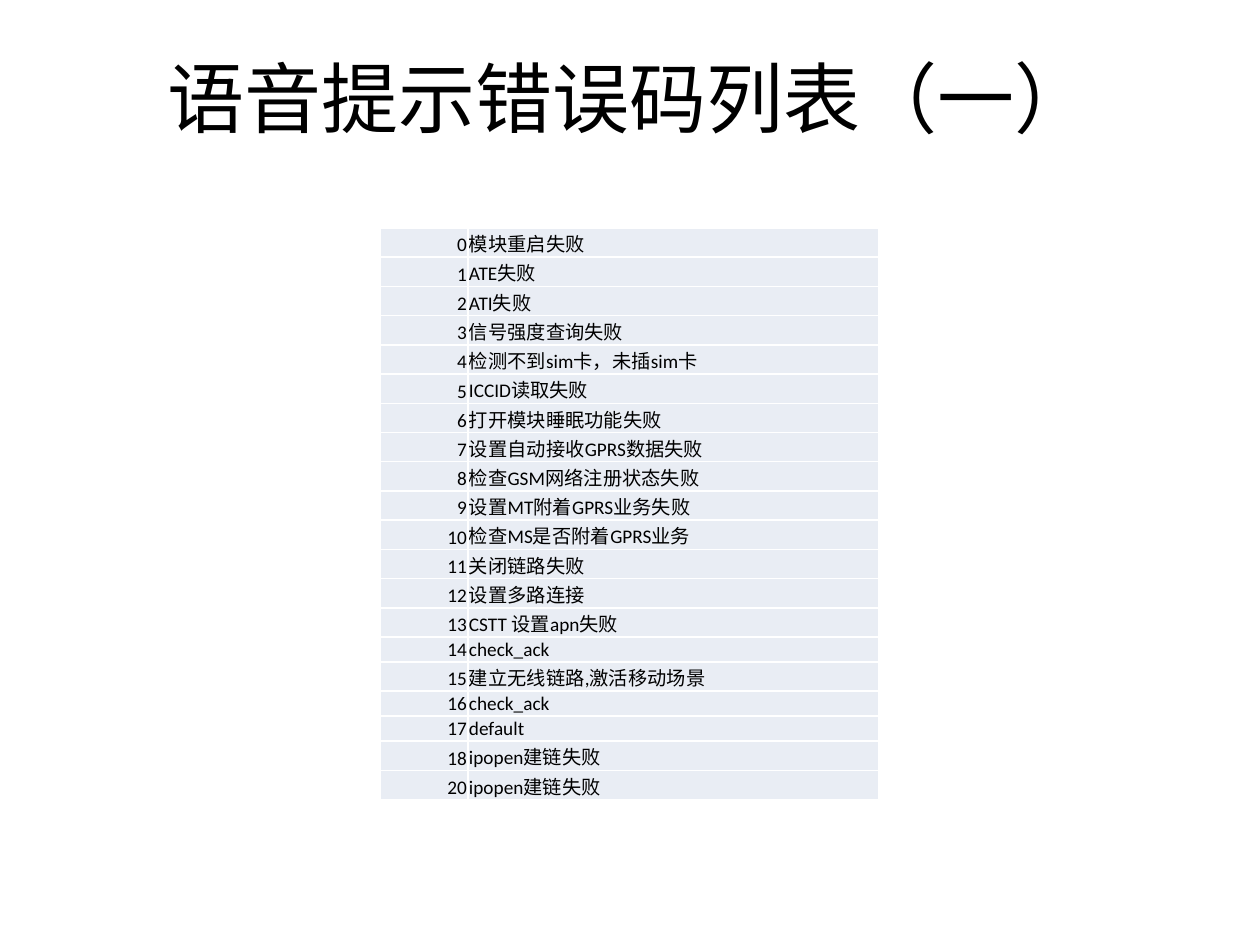
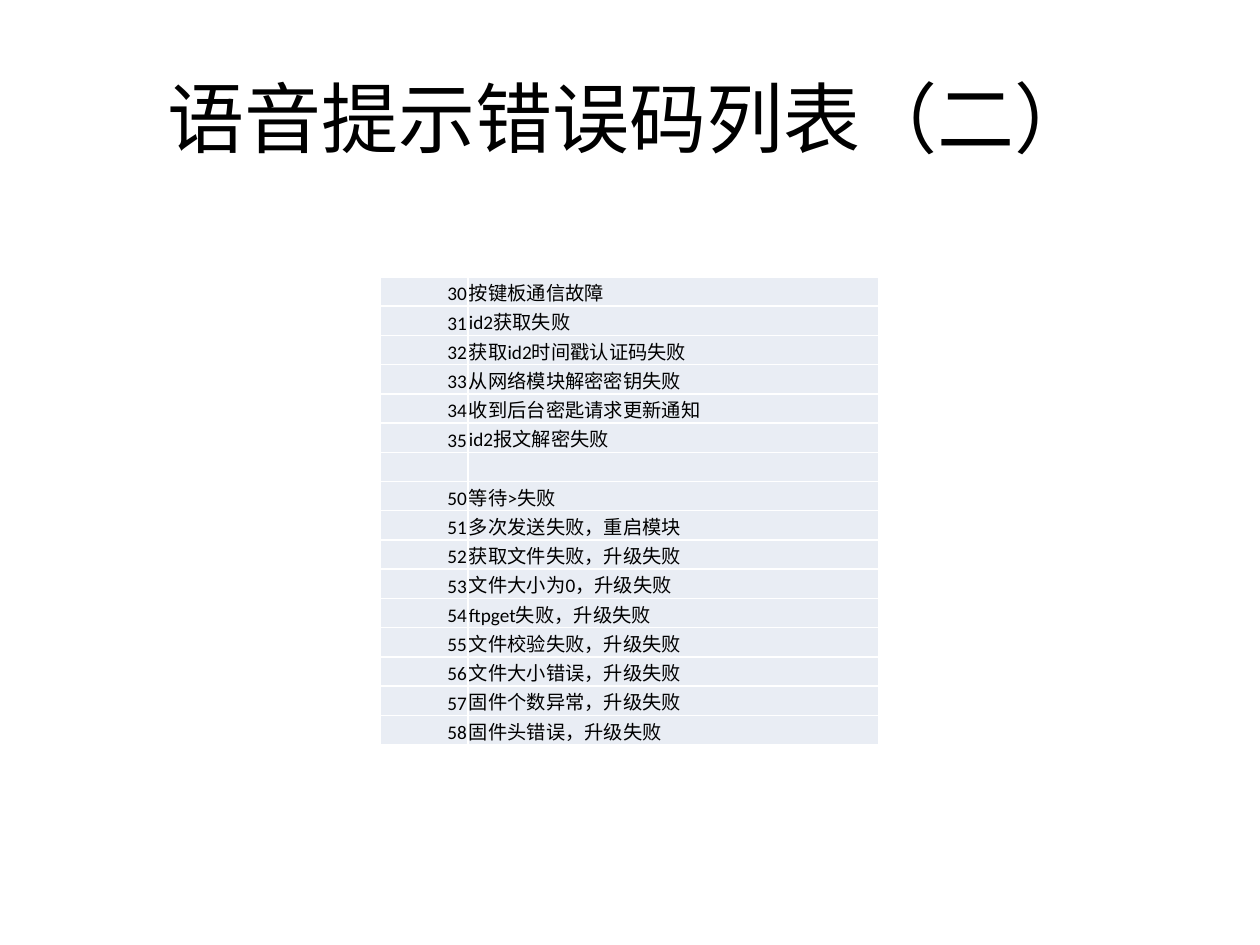
from lxml import etree
from pptx import Presentation
from pptx import util as u
from pptx.dml import color
from pptx.enum import text
from pptx.oxml import ns

SCALE = 914400 // 126
COLORS = {"ink": "000000", "cell": "E9EDF4", "border": "FFFFFF"}
FONT = "Calibri"
TITLE_SIZE, CELL_SIZE = 44, 11
ROW_HEIGHT, LATIN_ROW_HEIGHT = 29.25, 25
COLUMN_WIDTHS = (88, 411)
CELL_FORMAT = {
    "margin_left": u.Emu(SCALE),
    "margin_right": u.Emu(SCALE),
    "margin_top": u.Emu(SCALE),
    "margin_bottom": 0,
    "vertical_anchor": text.MSO_ANCHOR.BOTTOM,
}

MODULE_ERRORS = [
    ("0", "模块重启失败"),
    ("1", "ATE失败"),
    ("2", "ATI失败"),
    ("3", "信号强度查询失败"),
    ("4", "检测不到sim卡，未插sim卡"),
    ("5", "ICCID读取失败"),
    ("6", "打开模块睡眠功能失败"),
    ("7", "设置自动接收GPRS数据失败"),
    ("8", "检查GSM网络注册状态失败"),
    ("9", "设置MT附着GPRS业务失败"),
    ("10", "检查MS是否附着GPRS业务"),
    ("11", "关闭链路失败"),
    ("12", "设置多路连接"),
    ("13", "CSTT 设置apn失败"),
    ("14", "check_ack"),
    ("15", "建立无线链路,激活移动场景"),
    ("16", "check_ack"),
    ("17", "default"),
    ("18", "ipopen建链失败"),
    ("20", "ipopen建链失败"),
]
UPGRADE_ERRORS = [
    ("30", "按键板通信故障"),
    ("31", "id2获取失败"),
    ("32", "获取id2时间戳认证码失败"),
    ("33", "从网络模块解密密钥失败"),
    ("34", "收到后台密匙请求更新通知"),
    ("35", "id2报文解密失败"),
    ("", ""),
    ("50", "等待>失败"),
    ("51", "多次发送失败，重启模块"),
    ("52", "获取文件失败，升级失败"),
    ("53", "文件大小为0，升级失败"),
    ("54", "ftpget失败，升级失败"),
    ("55", "文件校验失败，升级失败"),
    ("56", "文件大小错误，升级失败"),
    ("57", "固件个数异常，升级失败"),
    ("58", "固件头错误，升级失败"),
]


def px(*lengths):
    return [u.Emu(round(length * SCALE)) for length in lengths]


def set_values(target, values):
    for name, value in values.items():
        setattr(target, name, value)


def write(para, words, size, align):
    para.alignment = align
    if not words:
        # An empty cell takes its line height from the end-of-paragraph size.
        etree.SubElement(para._p, ns.qn("a:endParaRPr"), sz=str(size * 100))
        return
    span = para.add_run()
    span.text = words
    set_values(span.font, {"name": FONT, "size": u.Pt(size)})
    span.font.color.rgb = color.RGBColor.from_string(COLORS["ink"])


def add_title(page, words, area):
    box = page.shapes.add_textbox(*px(*area))
    set_values(box.text_frame, {"word_wrap": True,
                                "vertical_anchor": text.MSO_ANCHOR.MIDDLE})
    write(box.text_frame.paragraphs[0], words, TITLE_SIZE, text.PP_ALIGN.CENTER)


def add_borders(cell):
    properties = cell._tc.get_or_add_tcPr()
    for side in ("lnL", "lnR", "lnT", "lnB"):
        line = etree.SubElement(properties, ns.qn(f"a:{side}"), w=str(u.Pt(1)))
        fill = etree.SubElement(line, ns.qn("a:solidFill"))
        etree.SubElement(fill, ns.qn("a:srgbClr"), val=COLORS["border"])


def row_height(meaning):
    """Rows with Latin letters alone are lower than the rest."""
    return LATIN_ROW_HEIGHT if meaning and meaning.isascii() else ROW_HEIGHT


def add_code_table(page, errors, left, top):
    heights = [row_height(meaning) for _, meaning in errors]
    frame = page.shapes.add_table(len(errors), len(COLUMN_WIDTHS),
                                  *px(left, top, sum(COLUMN_WIDTHS), sum(heights)))
    table = frame.table
    set_values(table, {"first_row": False, "horz_banding": False})
    for column, width in zip(table.columns, px(*COLUMN_WIDTHS)):
        column.width = width
    aligns = (text.PP_ALIGN.RIGHT, text.PP_ALIGN.LEFT)
    for row, height, error in zip(table.rows, px(*heights), errors):
        row.height = height
        for cell, words, align in zip(row.cells, error, aligns):
            set_values(cell, CELL_FORMAT)
            add_borders(cell)
            cell.fill.solid()
            cell.fill.fore_color.rgb = color.RGBColor.from_string(COLORS["cell"])
            write(cell.text_frame.paragraphs[0], words, CELL_SIZE, align)


def add_error_page(deck, title, title_height, errors, table_top):
    page = deck.slides.add_slide(deck.slide_layouts[6])
    add_title(page, title, (63, 38, 1134, title_height))
    add_code_table(page, errors, 380, table_top)


def main():
    deck = Presentation()
    deck.slide_width, deck.slide_height = px(1260, 945)
    add_error_page(deck, "语音提示错误码列表（一）", 117, MODULE_ERRORS, 228)
    add_error_page(deck, "语音提示错误码列表（二）", 158, UPGRADE_ERRORS, 277)
    deck.save("out.pptx")


if __name__ == "__main__":
    main()
